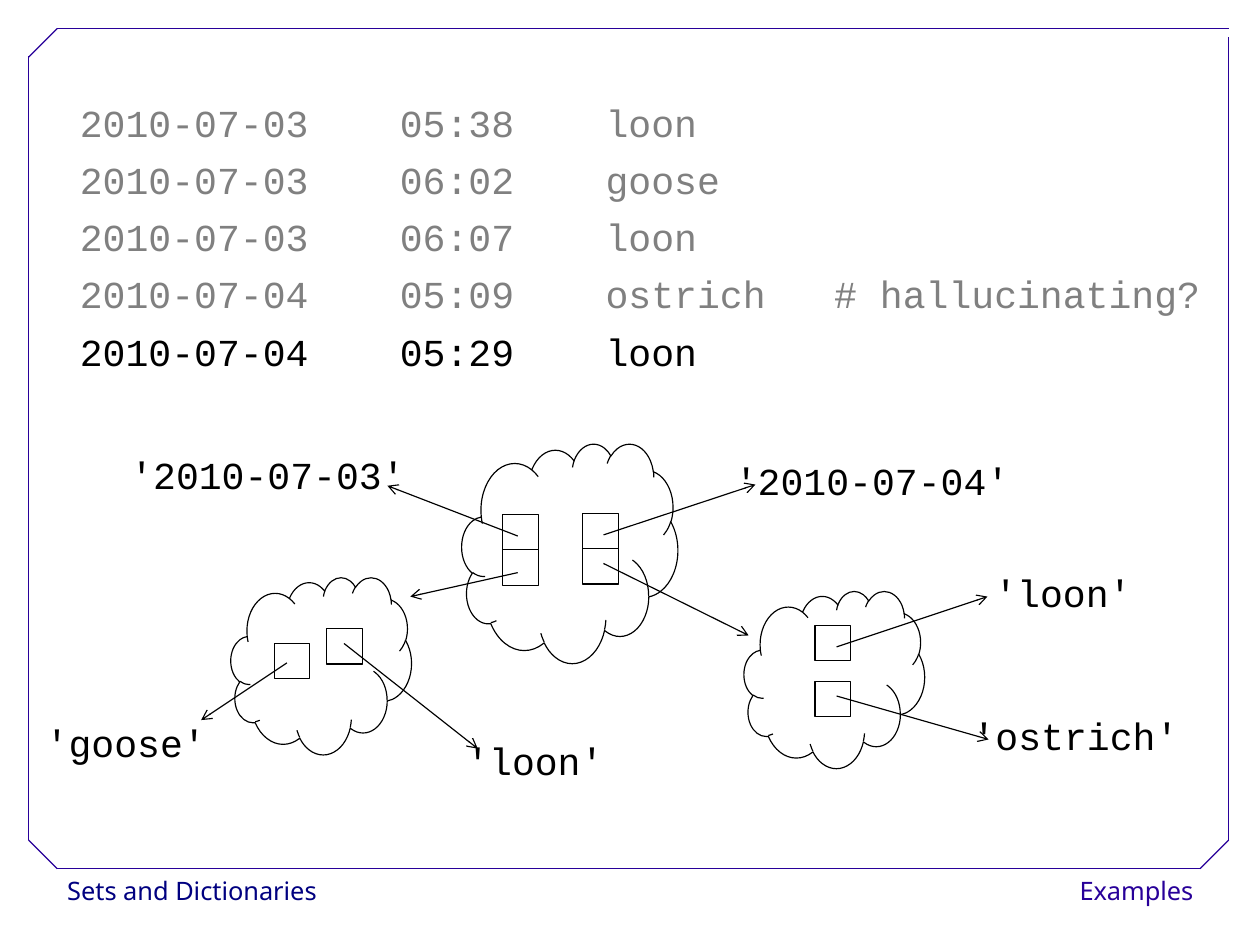
from lxml import etree
from pptx import Presentation
from pptx.dml.color import RGBColor
from pptx.enum.shapes import MSO_CONNECTOR, MSO_SHAPE
from pptx.enum.text import PP_ALIGN
from pptx.oxml.ns import qn
from pptx.util import Inches, Pt

STRAIGHT = MSO_CONNECTOR.STRAIGHT
CLOUD, SQUARE = MSO_SHAPE.CLOUD, MSO_SHAPE.RECTANGLE
LEFT, CENTER, RIGHT = PP_ALIGN.LEFT, PP_ALIGN.CENTER, PP_ALIGN.RIGHT

BLACK = RGBColor(0x00, 0x00, 0x00)
GRAY = RGBColor(0x80, 0x80, 0x80)
NAVY = RGBColor(0x00, 0x00, 0x80)
INDIGO = RGBColor(0x28, 0x00, 0x99)

CODE_FONT, FOOTER_FONT = "Courier New", "Noto Sans"
CODE_SIZE, FOOTER_SIZE = 24, 16
CHARACTER_WIDTH = 0.2
SQUARE_SIZE = 0.31
LINE_WIDTH = Pt(0.75)

RECORDS = [
    ("2010-07-03", "05:38", "loon"),
    ("2010-07-03", "06:02", "goose"),
    ("2010-07-03", "06:07", "loon"),
    ("2010-07-04", "05:09", "ostrich", "# hallucinating?"),
    ("2010-07-04", "05:29", "loon"),
]
COLUMN_STARTS = (14, 23, 33)  # in characters

FRAME_LINES = [
    ((0.5, 7.6), (10.5, 7.6)),
    ((0.25, 7.35), (0.25, 0.49)),
    ((0.5, 0.25), (10.75, 0.25)),
    ((10.75, 7.35), (10.75, 0.32)),
    ((0.25, 0.5), (0.5, 0.25)),
    ((10.5, 7.6), (10.75, 7.35)),
    ((0.25, 7.35), (0.5, 7.6)),
]
CLOUDS = [(4.04, 3.88, 1.89, 1.92), (6.51, 5.17, 1.58, 1.55), (2.02, 5.05, 1.58, 1.55)]
SQUARES = [
    (4.4, 4.5), (4.4, 4.5 + SQUARE_SIZE),
    (5.1, 4.49), (5.1, 4.49 + SQUARE_SIZE),
    (7.13, 5.47), (7.13, 5.96),
    (2.4, 5.63), (2.86, 5.5),
]
ARROWS = [
    ((4.53, 4.69), (3.39, 4.25)),
    ((4.53, 5.01), (3.59, 5.22)),
    ((5.28, 4.68), (6.61, 4.24)),
    ((5.28, 4.93), (6.55, 5.56)),
    ((7.32, 5.66), (8.64, 5.22)),
    ((7.32, 6.09), (8.65, 6.47)),
    ((3.01, 5.63), (4.18, 6.55)),
    ((2.51, 5.8), (1.76, 6.3)),
]
# text, horizontal centre, top
LABELS = [
    ("'2010-07-03'", 2.34, 3.94),
    ("'2010-07-04'", 7.63, 3.99),
    ("'loon'", 9.3, 4.97),
    ("'loon'", 4.68, 6.44),
    ("'goose'", 1.1, 6.28),
    ("'ostrich'", 9.41, 6.22),
]


def add_line(slide, start, end, color):
    line = slide.shapes.add_connector(STRAIGHT, *map(Inches, start + end))
    line.line.color.rgb = color
    line.line.width = LINE_WIDTH
    etree.SubElement(line._element.spPr, qn("a:effectLst"))
    return line


def add_arrow(slide, start, end):
    arrow = add_line(slide, start, end, BLACK)
    etree.SubElement(arrow.line._get_or_add_ln(), qn("a:tailEnd"), type="arrow")


def add_outline(slide, preset, left, top, width, height):
    """Add an unfilled preset shape with a thin black line."""
    shape = slide.shapes.add_shape(preset, *map(Inches, (left, top, width, height)))
    shape.shadow.inherit = False
    shape.fill.background()
    shape.line.color.rgb = BLACK
    shape.line.width = LINE_WIDTH


def format_runs(paragraph, font_name, size, color):
    for run in paragraph.runs:
        run.font.name = font_name
        run.font.size = Pt(size)
        run.font.color.rgb = color


def add_text(slide, text, box, alignment, spacing, font_name, size, color):
    text_frame = slide.shapes.add_textbox(*map(Inches, box)).text_frame
    text_frame.word_wrap = True
    text_frame.text = text
    for paragraph in text_frame.paragraphs:
        paragraph.alignment = alignment
        paragraph.line_spacing = spacing
        format_runs(paragraph, font_name, size, color)
    return text_frame


def add_label(slide, text, center, top):
    width = len(text) * CHARACTER_WIDTH + 0.3
    box = (center - width / 2, top, width, 0.44)
    add_text(slide, text, box, CENTER, 0.93, CODE_FONT, CODE_SIZE, BLACK)


def set_columns(paragraph):
    """Put a tab stop at the start of each column."""
    tabs = etree.SubElement(paragraph._p.get_or_add_pPr(), qn("a:tabLst"))
    for start in COLUMN_STARTS:
        position = Inches(start * CHARACTER_WIDTH)
        etree.SubElement(tabs, qn("a:tab"), pos=str(position), algn="l")


def add_records(slide):
    text = "\n".join("\t".join(record) for record in RECORDS)
    text_frame = add_text(slide, text, (0.6, 0.72, 10.15, 2.75),
                          LEFT, 1.25, CODE_FONT, CODE_SIZE, GRAY)
    for paragraph in text_frame.paragraphs:
        set_columns(paragraph)
    format_runs(text_frame.paragraphs[-1], CODE_FONT, CODE_SIZE, BLACK)


def main():
    presentation = Presentation()
    presentation.slide_width = Inches(11.024)
    presentation.slide_height = Inches(8.268)
    slide = presentation.slides.add_slide(presentation.slide_layouts[6])

    add_text(slide, "Sets and Dictionaries", (0.49, 7.6, 2.6, 0.4),
             LEFT, 1.02, FOOTER_FONT, FOOTER_SIZE, NAVY)
    add_text(slide, "Examples", (9.14, 7.6, 1.4, 0.4),
             RIGHT, 1.02, FOOTER_FONT, FOOTER_SIZE, INDIGO)
    for start, end in FRAME_LINES:
        add_line(slide, start, end, INDIGO)
    add_records(slide)
    for cloud in CLOUDS:
        add_outline(slide, CLOUD, *cloud)
    for left, top in SQUARES:
        add_outline(slide, SQUARE, left, top, SQUARE_SIZE, SQUARE_SIZE)
    for start, end in ARROWS:
        add_arrow(slide, start, end)
    for text, center, top in LABELS:
        add_label(slide, text, center, top)
    presentation.save("out.pptx")


if __name__ == "__main__":
    main()
